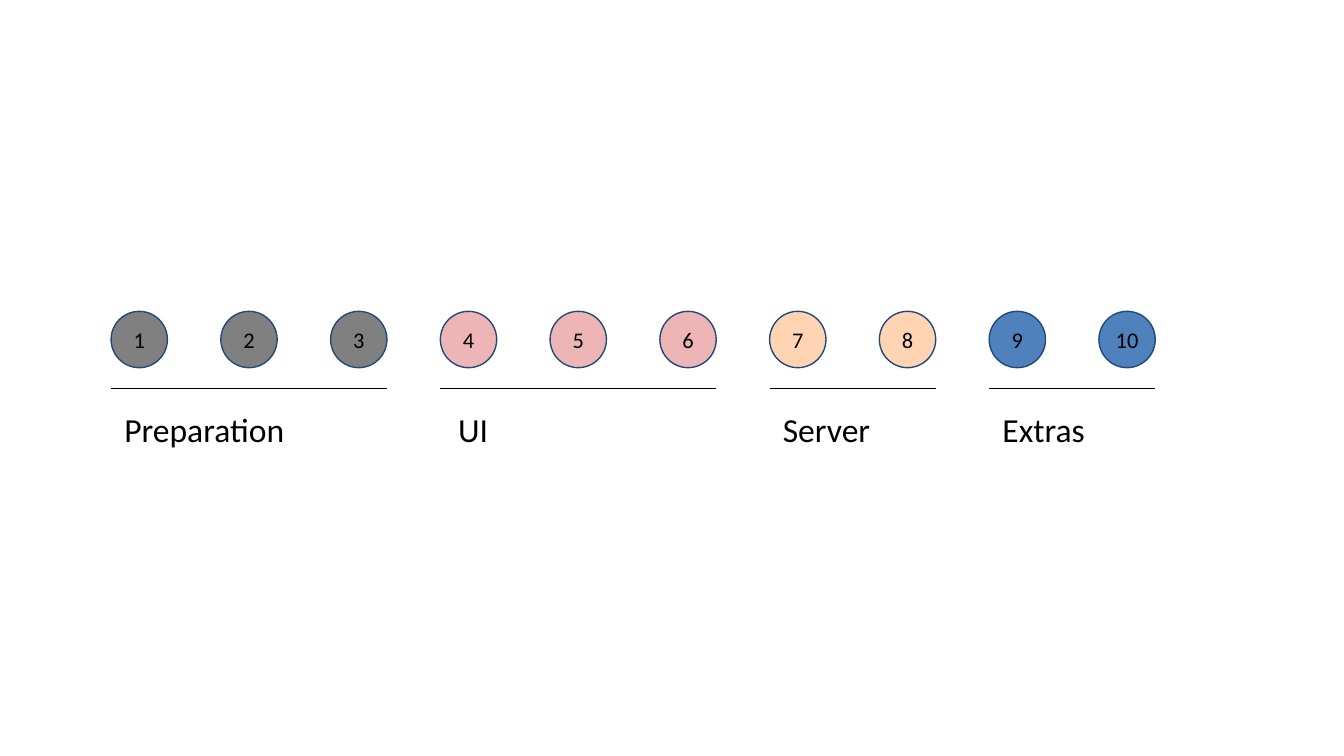
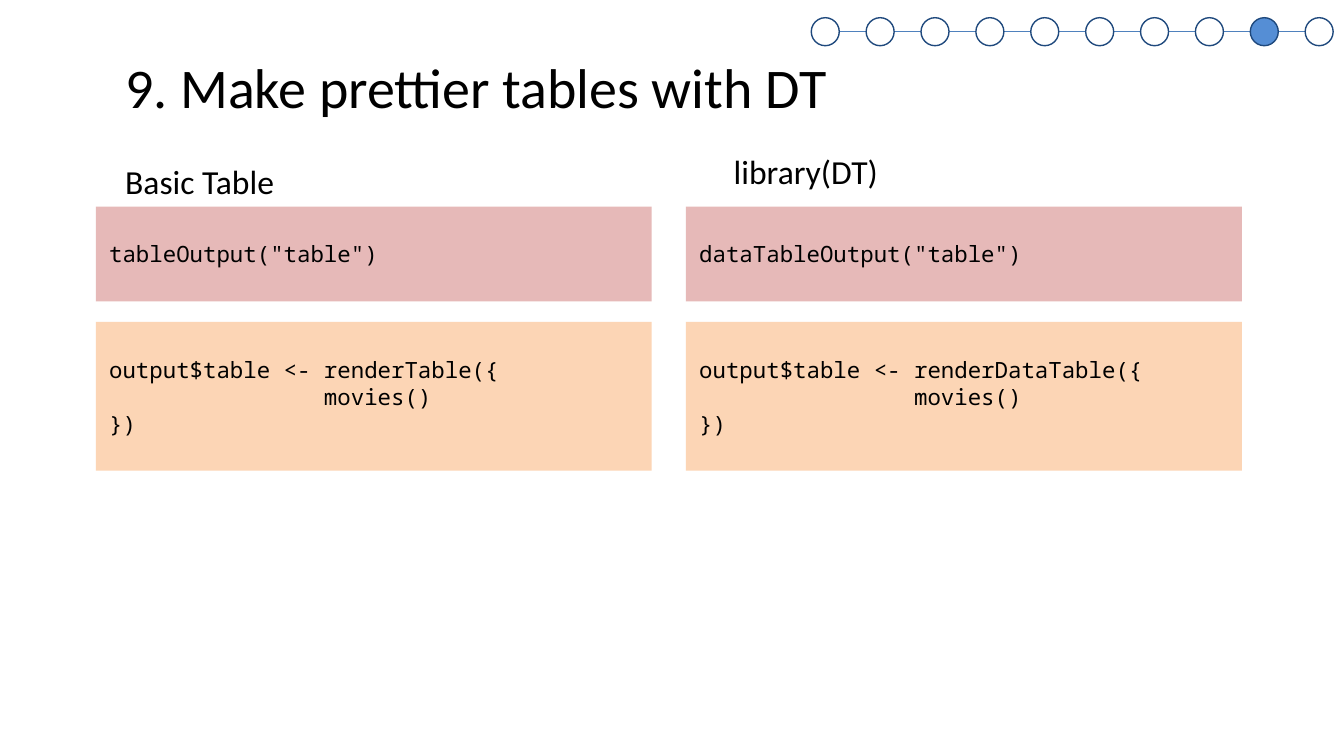
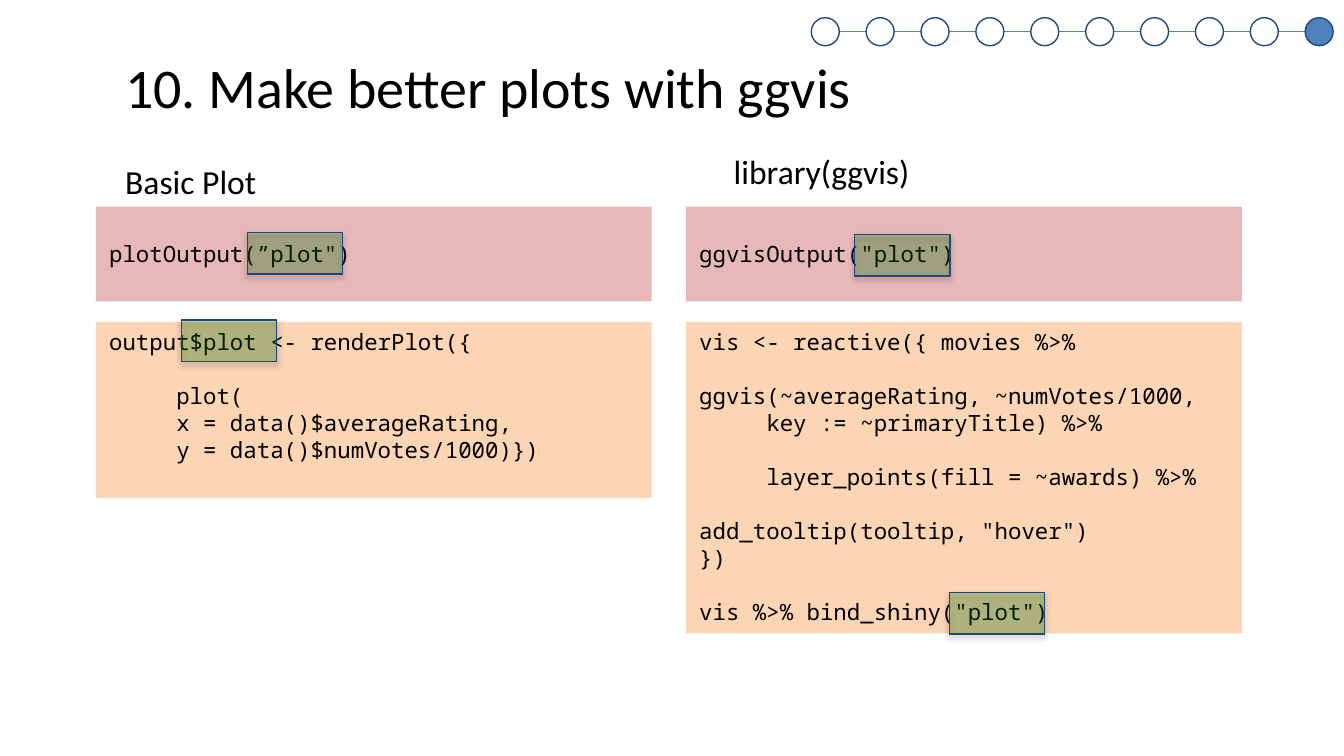
"""Build three slides on the steps of making an app: an overview and two code comparisons."""
from lxml.etree import SubElement
from pptx import Presentation
from pptx.dml.color import RGBColor
from pptx.enum.shapes import MSO_CONNECTOR as Connector, MSO_SHAPE as Shape
from pptx.enum.text import MSO_ANCHOR as Anchor, PP_ALIGN as Align
from pptx.oxml.ns import qn
from pptx.util import Pt

BLACK, WHITE, NAVY, BLUE, GREEN = "000000", "FFFFFF", "1F497D", "4F81BD", "008000"
UI_FILL, SERVER_FILL = "E6B9B8", "FCD5B5"
BODY, CODE = "Calibri", "Noto Sans Mono"
CODE_LINE = 14.45

PHASES = [
    ("Preparation", 3, "808080", 0),
    ("UI", 3, "EEB5B6", 2.4),
    ("Server", 2, "FFD4B2", 0),
    ("Extras", 2, BLUE, 0),
]
STEP_COUNT = sum(count for _, count, _, _ in PHASES)
STEPS = {"left": 59.5, "top": 166.8, "size": 30.2, "pitch": 58.8}
TRACK = {"left": 434.6, "top": 9.5, "size": 15, "pitch": 29.4}

COLUMNS = [
    {"panel": 51.4, "label": (60, 82.8)},
    {"panel": 367.5, "label": (386, 77.2)},
]
PANEL_WIDTH, UI_TOP, UI_HEIGHT, SERVER_TOP = 297.8, 110.7, 50.8, 172.4
HIGHLIGHT_SIZE = (51, 22.2)

COMPARISONS = [
    {
        "title": "9. Make prettier tables with DT",
        "step": 9,
        "active": "558ED5",
        "anchor": Anchor.MIDDLE,
        "columns": [
            {
                "label": "Basic Table", "label_width": 96.5, "server_height": 79.8,
                "ui": [['tableOutput("table")']],
                "server": [["output$table <- renderTable({", "                movies()", "})"]],
            },
            {
                "label": "library(DT)", "label_width": 93, "server_height": 79.8,
                "ui": [['dataTableOutput("table")']],
                "server": [["output$table <- renderDataTable({", "                movies()", "})"]],
            },
        ],
        "highlights": [],
    },
    {
        "title": "10. Make better plots with ggvis",
        "step": 10,
        "active": BLUE,
        "anchor": Anchor.TOP,
        "columns": [
            {
                "label": "Basic Plot", "label_width": 85.7, "server_height": 94.3,
                "ui": [['plotOutput(”plot")']],
                "server": [
                    ["output$plot <- renderPlot({"],
                    ["     plot(", "     x = data()$averageRating,", "     y = data()$numVotes/1000)})"],
                ],
            },
            {
                "label": "library(ggvis)", "label_width": 109.4, "server_height": 167,
                "ui": [['ggvisOutput("plot")']],
                "server": [
                    ["vis <- reactive({ movies %>%"],
                    ["ggvis(~averageRating, ~numVotes/1000,", "     key := ~primaryTitle) %>%"],
                    ["     layer_points(fill = ~awards) %>%"],
                    ['add_tooltip(tooltip, "hover")', "})"],
                    ['vis %>% bind_shiny("plot")'],
                ],
            },
        ],
        "highlights": [(132.5, 124.6), (97.2, 171.4), (457.9, 125.7), (508.6, 317.4)],
    },
]


def color(value):
    return RGBColor.from_string(value)


def apply(target, values):
    for name, value in values.items():
        setattr(target, name, value)


def write(box, blocks, size, font=BODY, align=Align.LEFT, anchor=Anchor.TOP, wrap=True):
    frame = box.text_frame
    apply(frame, {"word_wrap": wrap, "vertical_anchor": anchor})
    lines = [(text, block > 0 and row == 0)
             for block, texts in enumerate(blocks) for row, text in enumerate(texts)]
    for index, (text, spaced) in enumerate(lines):
        para = frame.add_paragraph() if index else frame.paragraphs[0]
        para.alignment = align
        if spaced:
            para.space_before = Pt(CODE_LINE)
        span = para.add_run()
        span.text = text
        apply(span.font, {"name": font, "size": Pt(size)})
        span.font.color.rgb = color(BLACK)


def add_label(page, text, left, top, width, height=29.1, size=18):
    box = page.shapes.add_textbox(Pt(left), Pt(top), Pt(width), Pt(height))
    write(box, [[text]], size)


def add_figure(page, kind, left, top, width, height, fill, outline=None):
    figure = page.shapes.add_shape(kind, Pt(left), Pt(top), Pt(width), Pt(height))
    figure.shadow.inherit = False
    figure.fill.solid()
    figure.fill.fore_color.rgb = color(fill)
    if outline:
        figure.line.color.rgb = color(outline)
        figure.line.width = Pt(0.75)
    else:
        figure.line.fill.background()
    return figure


def add_rule(page, start, end, y, stroke):
    rule = page.shapes.add_connector(Connector.STRAIGHT, Pt(start), Pt(y), Pt(end), Pt(y))
    rule.line.color.rgb = color(stroke)
    rule.line.width = Pt(0.5)
    SubElement(rule._element.spPr, qn("a:effectLst"))


def add_circle(page, row, index, fill):
    left = row["left"] + index * row["pitch"]
    return add_figure(page, Shape.OVAL, left, row["top"], row["size"], row["size"], fill, NAVY)


def add_track(page, step, active):
    start = TRACK["left"] + TRACK["size"]
    end = TRACK["left"] + (STEP_COUNT - 1) * TRACK["pitch"]
    add_rule(page, start, end, TRACK["top"] + TRACK["size"] / 2, BLUE)
    for index in range(STEP_COUNT):
        add_circle(page, TRACK, index, active if index + 1 == step else WHITE)


def add_panel(page, blocks, left, top, height, fill, anchor):
    panel = add_figure(page, Shape.RECTANGLE, left, top, PANEL_WIDTH, height, fill)
    write(panel, blocks, 12, CODE, anchor=anchor)


def add_highlight(page, left, top):
    mark = add_figure(page, Shape.RECTANGLE, left, top, *HIGHLIGHT_SIZE, GREEN, NAVY)
    properties = mark._element.spPr
    tint = properties.find(qn("a:solidFill")).find(qn("a:srgbClr"))
    SubElement(tint, qn("a:alpha"), val="24000")
    shadow = SubElement(properties.find(qn("a:effectLst")), qn("a:outerShdw"),
                        blurRad=str(Pt(3.1)), dist=str(Pt(1.8)), dir="5400000", rotWithShape="0")
    shade = SubElement(shadow, qn("a:srgbClr"), val=BLACK)
    SubElement(shade, qn("a:alpha"), val="35000")


def build_overview(page):
    first = 0
    for name, count, fill, indent in PHASES:
        for index in range(first, first + count):
            circle = add_circle(page, STEPS, index, fill)
            write(circle, [[str(index + 1)]], 12, align=Align.CENTER, anchor=Anchor.MIDDLE, wrap=False)
        start = STEPS["left"] + first * STEPS["pitch"]
        end = start + (count - 1) * STEPS["pitch"] + STEPS["size"]
        add_rule(page, start, end, 208, BLACK)
        add_label(page, name, start + indent, 215.3, 147.6)
        first += count


def build_comparison(page, content):
    for place, column in zip(COLUMNS, content["columns"]):
        add_label(page, column["label"], *place["label"], column["label_width"])
        add_panel(page, column["ui"], place["panel"], UI_TOP, UI_HEIGHT, UI_FILL, Anchor.MIDDLE)
        add_panel(page, column["server"], place["panel"], SERVER_TOP, column["server_height"],
                  SERVER_FILL, content["anchor"])
    for left, top in content["highlights"]:
        add_highlight(page, left, top)
    add_label(page, content["title"], 60, 24.5, 589, 43.9, 30)
    add_track(page, content["step"], content["active"])


def main():
    deck = Presentation()
    apply(deck, {"slide_width": Pt(720), "slide_height": Pt(405)})
    blank = deck.slide_layouts[6]
    build_overview(deck.slides.add_slide(blank))
    for content in COMPARISONS:
        build_comparison(deck.slides.add_slide(blank), content)
    deck.save("out.pptx")


if __name__ == "__main__":
    main()
